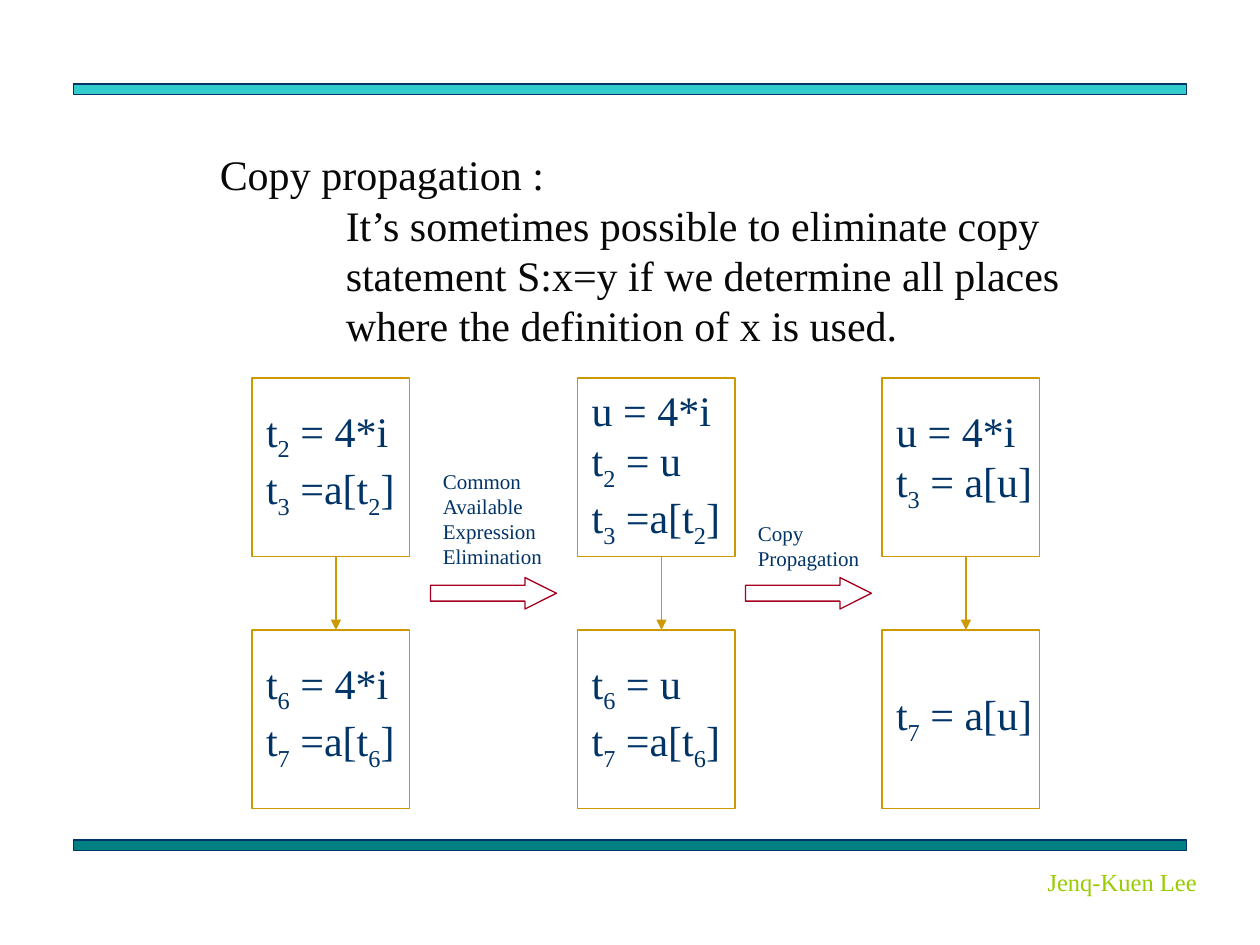
"""Build a slide showing copy propagation across three stages of basic blocks."""
from dataclasses import dataclass

import pptx
import pptx.dml.color
import pptx.enum.shapes
import pptx.oxml
import pptx.oxml.ns
import pptx.util

Pt = pptx.util.Pt
SHAPE = pptx.enum.shapes.MSO_SHAPE
NAVY, GOLD, CRIMSON = "003366", "CC9900", "A50021"
BLOCK_W, BLOCK_H = 90, 102
UPPER, LOWER = 216, 360


@dataclass
class Block:
    top: float
    inset: float
    lines: list[str]


@dataclass
class Stage:
    left: float
    text_width: float
    blocks: list[Block]


@dataclass
class Step:
    left: float
    label_top: float
    lines: list[str]


STAGES = [
    Stage(144, 88, [Block(UPPER, 12, ["t_2 = 4*i", "t_3 =a[t_2]"]),
                    Block(LOWER, 12, ["t_6 = 4*i", "t_7 =a[t_6]"])]),
    Stage(330, 88, [Block(UPPER, 0, ["u = 4*i", "t_2 = u", "t_3 =a[t_2]"]),
                    Block(LOWER, 12, ["t_6 = u", "t_7 =a[t_6]"])]),
    Stage(504, 92, [Block(UPPER, 12, ["u = 4*i", "t_3 = a[u]"]),
                    Block(LOWER, 30, ["t_7 = a[u]"])]),
]
STEPS = [
    Step(246, 264, ["Common", "Available", "Expression", "Elimination"]),
    Step(426, 294, ["Copy", "Propagation"]),
]


def rgb(color: str) -> pptx.dml.color.RGBColor:
    """Turn a hex string into a colour."""
    return pptx.dml.color.RGBColor.from_string(color)


def add_shape(s, kind, left: float, top: float, width: float, height: float, line: str, fill: str = ""):
    """Draw an outlined preset shape, filled only when a fill is given."""
    sp = s.shapes.add_shape(kind, Pt(left), Pt(top), Pt(width), Pt(height))
    sp.shadow.inherit = False
    if fill:
        sp.fill.solid()
        sp.fill.fore_color.rgb = rgb(fill)
    else:
        sp.fill.background()
    sp.line.color.rgb = rgb(line)
    sp.line.width = Pt(0.75)
    return sp


def add_text(s, lines: list[str], left: float, top: float, width: float, height: float, *,
             size: float = 24, color: str = NAVY, indent: float = 0) -> None:
    """Write one paragraph a line; an underscore lowers the next character, indent moves all but the first."""
    tf = s.shapes.add_textbox(Pt(left), Pt(top), Pt(width), Pt(height)).text_frame
    tf.word_wrap = False
    for i, line in enumerate(lines):
        p = tf.add_paragraph() if i else tf.paragraphs[0]
        if i and indent:
            p._p.get_or_add_pPr().set("marL", str(Pt(indent)))
        first, *rest = line.split("_")
        pieces = [(first, False)]
        for part in rest:
            pieces += [(part[0], True), (part[1:], False)]
        for text, lowered in pieces:
            r = p.add_run()
            r.text = text
            r.font.name = "Times New Roman"
            r.font.size = Pt(size)
            r.font.color.rgb = rgb(color)
            if lowered:
                r.font._element.set("baseline", "-25000")


def add_flow(s, x: float, top: float, bottom: float) -> None:
    """Draw a downward arrow between two blocks."""
    line = s.shapes.add_connector(pptx.enum.shapes.MSO_CONNECTOR.STRAIGHT, Pt(x), Pt(top), Pt(x), Pt(bottom))
    line.line.color.rgb = rgb(GOLD)
    line.line.width = Pt(0.75)
    ns = pptx.oxml.ns.nsdecls("a")
    line.line._get_or_add_ln().append(pptx.oxml.parse_xml(f'<a:tailEnd {ns} type="triangle"/>'))
    line._element.spPr.append(pptx.oxml.parse_xml(f"<a:effectLst {ns}/>"))


def add_stage(s, stage: Stage) -> None:
    """Draw a column of two blocks joined by an arrow."""
    for block in stage.blocks:
        add_shape(s, SHAPE.RECTANGLE, stage.left, block.top, BLOCK_W, BLOCK_H, GOLD)
        add_text(s, block.lines, stage.left + 1, block.top + block.inset,
                 stage.text_width, BLOCK_H - 2 * block.inset)
    add_flow(s, stage.left + 48, UPPER + BLOCK_H, LOWER)


def add_step(s, step: Step) -> None:
    """Draw a block arrow with its label above."""
    sp = add_shape(s, SHAPE.RIGHT_ARROW, step.left, 330, 72, 18, CRIMSON)
    sp.adjustments[0], sp.adjustments[1] = 0.5, 1
    add_text(s, step.lines, step.left, step.label_top, 80, 330 - step.label_top, size=12)


def main() -> None:
    """Build and save the slide."""
    prs = pptx.Presentation()
    prs.slide_width, prs.slide_height = Pt(720), Pt(540)
    s = prs.slides.add_slide(prs.slide_layouts[6])
    for top, fill in ((48, "33CCCC"), (480, "008080")):
        add_shape(s, SHAPE.RECTANGLE, 42, top, 636, 6, NAVY, fill)
    add_text(s, ["Jenq-Kuen Lee"], 591.5, 492, 104, 24, size=14, color="99CC00")
    add_text(s, ["Copy propagation :",
                 "It’s sometimes possible to eliminate copy",
                 "statement S:x=y if we determine all places",
                 "where the definition of x is used."],
             118.5, 81.5, 494.5, 122.5, color="080808", indent=72)
    for stage in STAGES:
        add_stage(s, stage)
    for step in STEPS:
        add_step(s, step)
    prs.save("out.pptx")


if __name__ == "__main__":
    main()
